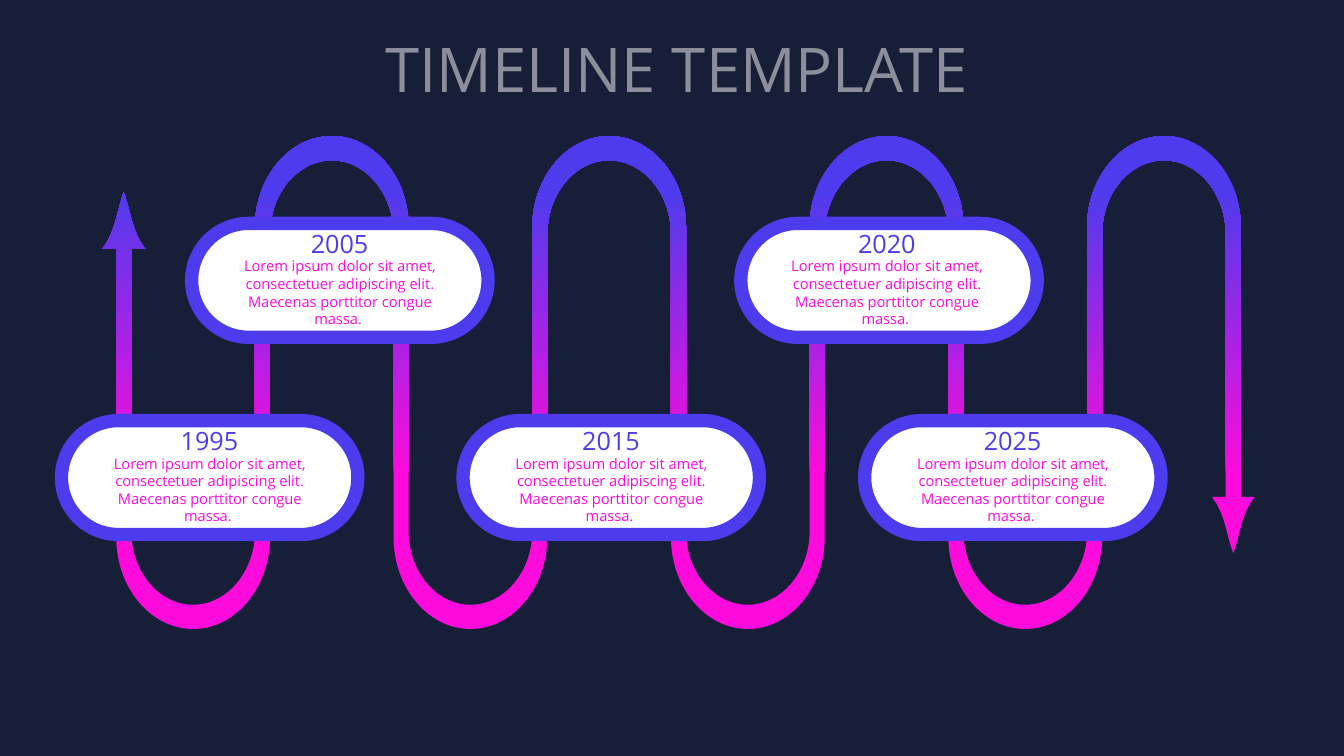
from pptx import Presentation
from pptx.dml.color import RGBColor
from pptx.enum.shapes import MSO_SHAPE
from pptx.enum.text import MSO_ANCHOR, PP_ALIGN
from pptx.oxml.xmlchemy import OxmlElement
from pptx.util import Cm, Pt

NAVY = RGBColor(0x17, 0x1E, 0x38)
PINK = RGBColor(0xFC, 0x0B, 0xDC)
VIOLET = RGBColor(0x4D, 0x3C, 0xED)
WHITE = RGBColor(0xFF, 0xFF, 0xFF)
FONT = "Open Sans"

LOREM = ("Lorem ipsum dolor sit amet, consectetuer adipiscing elit. "
         "Maecenas porttitor congue massa. ")
LOW, HIGH = 10.6, 5.63  # card rows, cm
# Year, left, top, shift of the text inside the card
CARDS = [("2005", 4.83, HIGH, 0), ("2015", 11.67, LOW, 0), ("1995", 1.55, LOW, 0),
         ("2020", 18.67, HIGH, -0.05), ("2025", 21.79, LOW, 0)]

# Ribbon geometry, cm
FIRST_X, LAST_X, TURNS, HALF = 3.12, 31.08, 8, 0.19
PITCH = (LAST_X - FIRST_X) / TURNS
TOP_TIP, BOTTOM_TIP = 4.85, 13.94
HEAD = [(0, 0), (0.18, 0.48), (0.2, 0.99), (0.54, 1.42)]
HEAD_LENGTH = HEAD[-1][1]
OUTER = {"ry": 2.31, "top": 5.74, "bottom": 13.54}
INNER = {"ry": 1.85, "top": 5.89, "bottom": 13.39}
KAPPA = 0.55  # Bezier handle of a quarter ellipse
HALF_ELLIPSE = [(-1, 0), (-1, KAPPA), (-KAPPA, 1), (0, 1),
                (KAPPA, 1), (1, KAPPA), (1, 0)]


def write(tf, text, size, color):
    tf.word_wrap = True
    tf.vertical_anchor = MSO_ANCHOR.MIDDLE
    p = tf.paragraphs[0]
    p.alignment = PP_ALIGN.CENTER
    r = p.add_run()
    r.text = text
    r.font.name = FONT
    r.font.size = Pt(size)
    r.font.color.rgb = color
    return r


def add_title(s, text):
    title = s.shapes.title
    title.left, title.top, title.width, title.height = (
        Cm(6.05), Cm(0.64), Cm(22.02), Cm(2.13))
    r = write(title.text_frame, text, 44, WHITE)
    # Half-transparent white
    alpha = OxmlElement("a:alpha")
    alpha.set("val", "50000")
    r.font.fill._xPr.find(".//{*}srgbClr").append(alpha)


def head(x, tip, direction):
    """Arrowhead from barb to barb; direction points from tip to stem."""
    near, far = ([(x + side * direction * dx, tip + direction * dy)
                  for dx, dy in HEAD] for side in (1, -1))
    return near[::-1] + far[1:]


def ribbon_edge(side):
    """Long edge of the ribbon; side -1 starts at the left, 1 at the right."""
    pieces = [[(FIRST_X + side * HALF, TOP_TIP + HEAD_LENGTH)]]
    for k in range(TURNS):
        at_bottom = k % 2 == 0
        is_outer = at_bottom == (side < 0)
        arc = OUTER if is_outer else INNER
        rx = PITCH / 2 + (HALF if is_outer else -HALF)
        ry = arc["ry"] if at_bottom else -arc["ry"]
        cx = FIRST_X + (k + 0.5) * PITCH
        cy = arc["bottom" if at_bottom else "top"]
        pieces.append([(cx + rx * u, cy + ry * v) for u, v in HALF_ELLIPSE])
    pieces.append([(LAST_X + side * HALF, BOTTOM_TIP - HEAD_LENGTH)])
    return pieces


def add_curved_outline(s, pieces):
    """Each piece is a start point and triples of Bezier points."""
    points = [(Cm(x), Cm(y)) for piece in pieces for x, y in piece]
    fb = s.shapes.build_freeform(*points[0])
    fb.add_line_segments(points[1:], close=True)
    shape = fb.convert_to_shape()
    # Turn each triple of line ends into one curve
    nodes = iter(list(shape._element.find(".//{*}path")))
    for piece in pieces:
        next(nodes)
        for _ in range(len(piece) // 3):
            triple = [next(nodes) for _ in range(3)]
            curve = OxmlElement("a:cubicBezTo")
            triple[0].addprevious(curve)
            for node in triple:
                curve.append(node[0])
                node.getparent().remove(node)
    return shape


def add_ribbon(s):
    back = [piece[::-1] for piece in ribbon_edge(1)[::-1]]
    ribbon = add_curved_outline(s, [head(FIRST_X, TOP_TIP, 1)] + ribbon_edge(-1)
                                + [head(LAST_X, BOTTOM_TIP, -1)] + back)
    ribbon.shadow.inherit = False
    ribbon.line.fill.background()
    # Pink at the bottom, violet at the top
    ribbon.fill.gradient()
    ribbon.fill.gradient_angle = 90
    stops = zip(ribbon.fill.gradient_stops, (0.31, 0.89), (PINK, VIOLET))
    for stop, position, color in stops:
        stop.position = position
        stop.color.rgb = color


def add_card(s, year, left, top, shift):
    shapes = s.shapes.add_group_shape().shapes
    pill = shapes.add_shape(MSO_SHAPE.ROUNDED_RECTANGLE,
                            Cm(left), Cm(top), Cm(7.47), Cm(2.87))
    pill.adjustments[0] = 0.5
    pill.shadow.inherit = False
    pill.fill.solid()
    pill.fill.fore_color.rgb = WHITE
    pill.line.color.rgb = VIOLET
    pill.line.width = Pt(9.5)
    # Year above its description
    text_left = left + shift
    tb = shapes.add_textbox(Cm(text_left + 2.08), Cm(top), Cm(3.3), Cm(1.02))
    write(tb.text_frame, year, 18, VIOLET)
    tb = shapes.add_textbox(Cm(text_left + 0.73), Cm(top + 0.71), Cm(6.02), Cm(2.06))
    write(tb.text_frame, LOREM, 10.5, PINK)


def main():
    prs = Presentation()
    prs.slide_width, prs.slide_height = Cm(33.87), Cm(19.05)
    s = prs.slides.add_slide(prs.slide_layouts[5])
    s.background.fill.solid()
    s.background.fill.fore_color.rgb = NAVY
    add_title(s, "TIMELINE TEMPLATE")
    add_ribbon(s)
    for card in CARDS:
        add_card(s, *card)
    prs.save("out.pptx")


if __name__ == "__main__":
    main()
